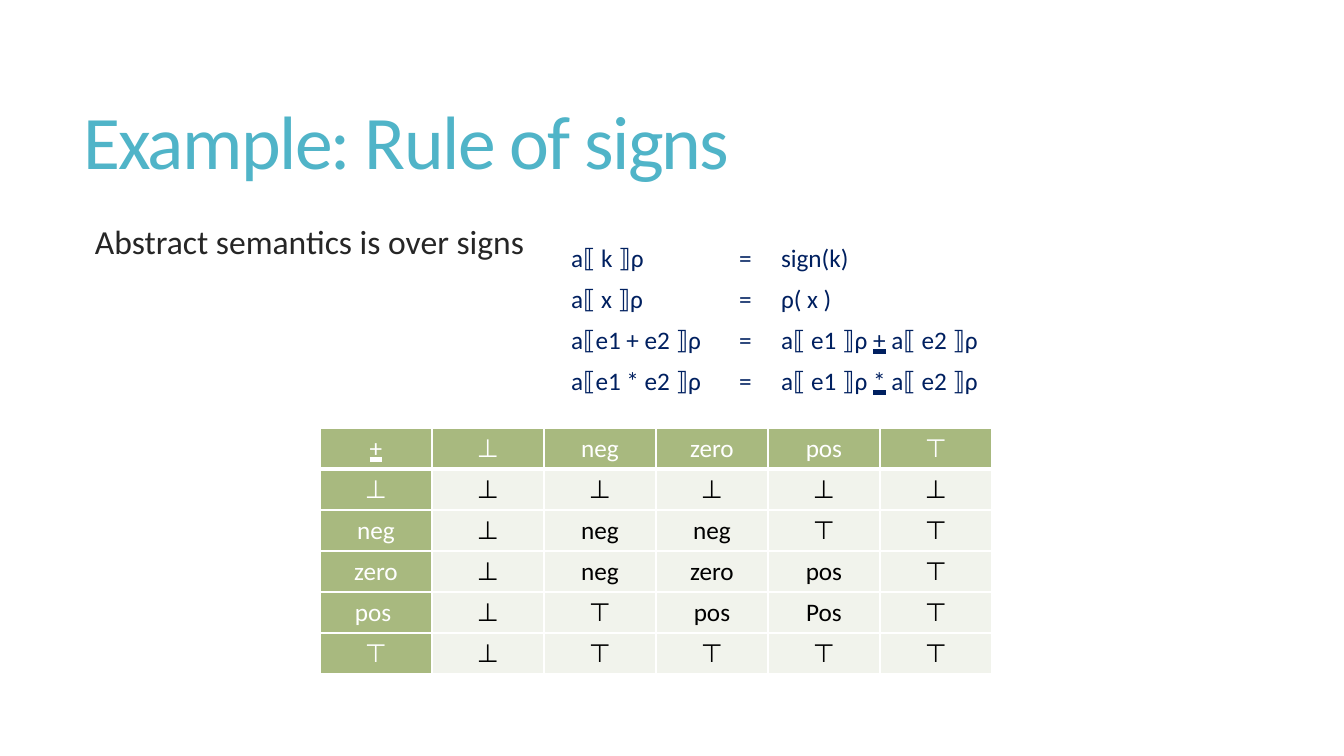
from dataclasses import dataclass

from pptx import Presentation
from pptx.dml.color import RGBColor
from pptx.enum.text import MSO_ANCHOR, MSO_AUTO_SIZE, MSO_UNDERLINE, PP_ALIGN
from pptx.oxml import parse_xml
from pptx.oxml.ns import nsdecls
from pptx.util import Emu, Pt


@dataclass(frozen=True)
class Theme:
    font: str = "Calibri"
    title: str = "50B4C8"
    body: str = "262626"
    formula: str = "002060"
    header: str = "A8B97F"
    cell: str = "F1F3EC"
    white: str = "FFFFFF"
    black: str = "000000"
    title_size: int = 54
    body_size: int = 24
    table_size: int = 18


def px(n):
    return Emu(round(n * 914400 / 100.8))


def write(tf, text, *, font, size, color, align=PP_ALIGN.LEFT, line=None, spacing=0):
    """Write one paragraph; parts between underscores are underlined."""
    p = tf.paragraphs[0]
    p.alignment = align
    if line:
        p.line_spacing = line
    for i, part in enumerate(text.split("_")):
        if not part:
            continue
        r = p.add_run()
        r.text = part
        r.font.name, r.font.size = font, Pt(size)
        r.font.bold = False
        r.font.color.rgb = RGBColor.from_string(color)
        if i % 2:
            r.font.underline = MSO_UNDERLINE.HEAVY_LINE
        if spacing:
            r.font._element.set("spc", str(spacing))
    return p


class SlideBuilder:
    def __init__(self, prs, theme):
        self.theme = theme
        self.slide = prs.slides.add_slide(prs.slide_layouts[5])

    def title(self, text, x, y, w, h):
        t, sp = self.theme, self.slide.shapes.title
        sp.left, sp.top, sp.width, sp.height = map(px, (x, y, w, h))
        tf = sp.text_frame
        tf.auto_size = MSO_AUTO_SIZE.NONE
        tf.vertical_anchor = MSO_ANCHOR.MIDDLE
        write(tf, text, font=t.font, size=t.title_size, color=t.title,
              line=0.85, spacing=-120)

    def body(self, text, x, y, w, h):
        t = self.theme
        tf = self.slide.shapes.add_textbox(*map(px, (x, y, w, h))).text_frame
        tf.word_wrap = True
        p = write(tf, text, font=t.font, size=t.body_size, color=t.body, line=0.85)
        p._p.get_or_add_pPr().set("marL", str(px(10)))

    def table(self, rows, x, y, widths, row_h, format_cell):
        frame = self.slide.shapes.add_table(
            len(rows), len(widths), px(x), px(y), px(sum(widths)), px(row_h * len(rows)))
        tbl = frame.table
        tbl.first_row = tbl.horz_banding = False
        for col, w in zip(tbl.columns, widths):
            col.width = px(w)
        for i, texts in enumerate(rows):
            tbl.rows[i].height = px(row_h)
            for j, text in enumerate(texts):
                format_cell(tbl.cell(i, j), text, i, j)

    def formula_cell(self, cell, text, i, j):
        t = self.theme
        cell.fill.background()
        write(cell.text_frame, text, font=t.font, size=t.table_size, color=t.formula)

    def sign_cell(self, cell, text, i, j):
        t = self.theme
        heading = i == 0 or j == 0
        # Borders come before the fill in the cell properties
        self.borders(cell, bottom=3 if i == 0 else 1)
        cell.fill.solid()
        cell.fill.fore_color.rgb = RGBColor.from_string(t.header if heading else t.cell)
        write(cell.text_frame, text, font=t.font, size=t.table_size,
              color=t.white if heading else t.black, align=PP_ALIGN.CENTER)

    def borders(self, cell, bottom):
        tcPr = cell._tc.get_or_add_tcPr()
        for side, width in (("L", 1), ("R", 1), ("T", 1), ("B", bottom)):
            tcPr.append(parse_xml(
                f'<a:ln{side} {nsdecls("a")} w="{Pt(width)}"><a:solidFill>'
                f'<a:srgbClr val="{self.theme.white}"/></a:solidFill></a:ln{side}>'))


FORMULAS = [
    ("a⟦ k ⟧ρ", "=", "sign(k)"),
    ("a⟦ x ⟧ρ", "=", "ρ( x )"),
    ("a⟦e1 + e2 ⟧ρ", "=", "a⟦ e1 ⟧ρ _+_ a⟦ e2 ⟧ρ"),
    ("a⟦e1 * e2 ⟧ρ", "=", "a⟦ e1 ⟧ρ _*_ a⟦ e2 ⟧ρ"),
]
SIGN_SUMS = [
    ("_+_", "⊥", "neg", "zero", "pos", "⊤"),
    ("⊥", "⊥", "⊥", "⊥", "⊥", "⊥"),
    ("neg", "⊥", "neg", "neg", "⊤", "⊤"),
    ("zero", "⊥", "neg", "zero", "pos", "⊤"),
    ("pos ", "⊥", "⊤", "pos", "Pos", "⊤"),
    ("⊤", "⊥", "⊤", "⊤", "⊤", "⊤"),
]


def main():
    prs = Presentation()
    prs.slide_width, prs.slide_height = px(1344), px(756)
    s = SlideBuilder(prs, Theme())

    # Heading and statement
    s.title("Example: Rule of signs", 73, 55, 1187, 182)
    s.body("Abstract semantics is over signs", 75, 222, 1185, 415)

    # Semantic equations, then the addition table on signs
    s.table(FORMULAS, 561, 238, [168, 42, 235], 41, s.formula_cell)
    s.table(SIGN_SUMS, 320, 428, [112] * 6, 41, s.sign_cell)

    prs.save("out.pptx")


if __name__ == "__main__":
    main()
